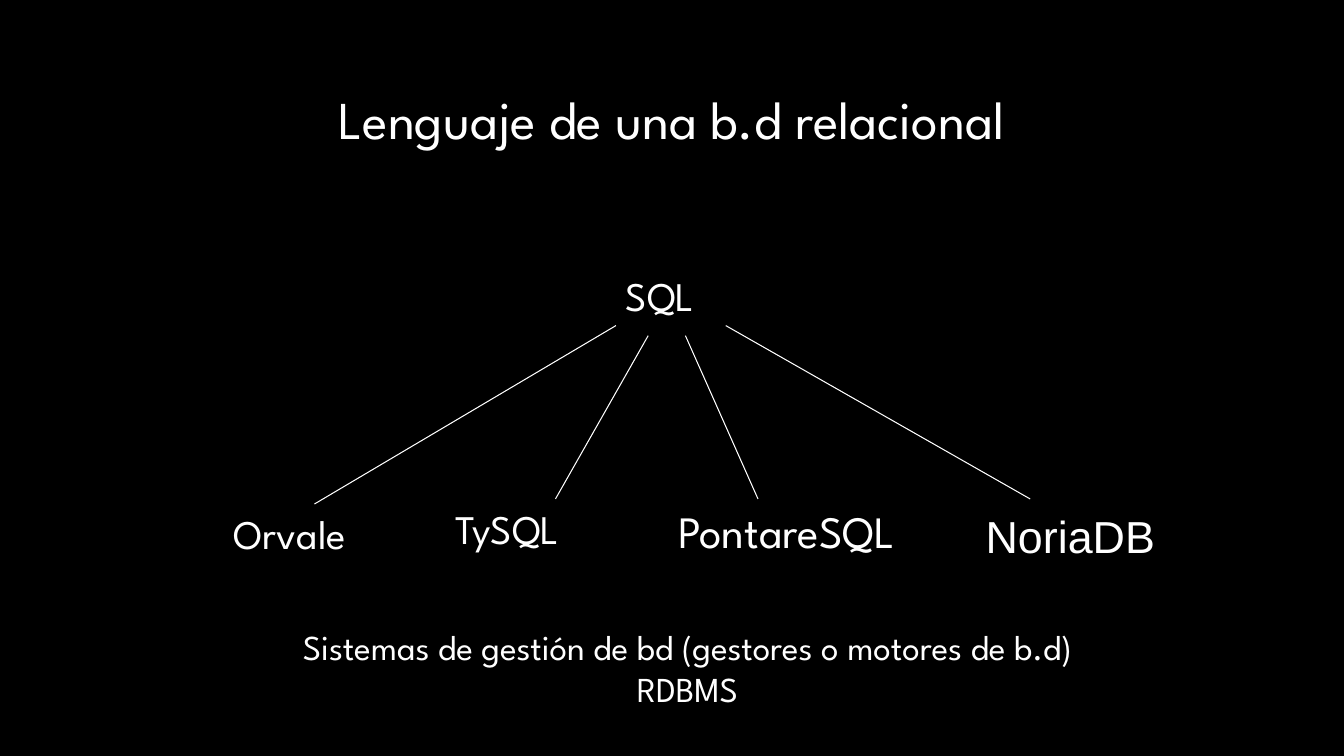
from lxml import etree
from pptx import Presentation
from pptx.dml.color import RGBColor
from pptx.enum.shapes import MSO_CONNECTOR
from pptx.enum.text import MSO_AUTO_SIZE, PP_ALIGN
from pptx.oxml.ns import qn
from pptx.util import Inches, Pt

STRAIGHT = MSO_CONNECTOR.STRAIGHT
LEFT, CENTER = PP_ALIGN.LEFT, PP_ALIGN.CENTER
GROW = MSO_AUTO_SIZE.SHAPE_TO_FIT_TEXT
BLACK = RGBColor(0x00, 0x00, 0x00)
WHITE = RGBColor(0xFF, 0xFF, 0xFF)
SPARTAN, ARIAL = "League Spartan", "Arial"

deck = Presentation()
deck.slide_width, deck.slide_height = Inches(13.33), Inches(7.5)
slide = deck.slides.add_slide(deck.slide_layouts[6])
slide.background.fill.solid()
slide.background.fill.fore_color.rgb = BLACK


def across(percent):
    return round(deck.slide_width * percent / 100)


def down(percent):
    return round(deck.slide_height * percent / 100)


language_base, engine_top = 43.07, 66

labels = [
    (["Lenguaje de una b.d relacional"], 8.4, 10.8, 83.2, 9.87, 38, SPARTAN, CENTER),
    (["SQL"], 45.83, 35.2, 8.33, 7.87, 29, SPARTAN, LEFT),
    (["TySQL"], 33.15, engine_top, 13.43, 7.87, 29, SPARTAN, LEFT),
    (["Orvale"], 16.65, 66.67, 13.43, 7.87, 29, SPARTAN, LEFT),
    (["NoriaDB"], 72.6, 66.67, 19.8, 8.53, 32, ARIAL, LEFT),
    (["PontareSQL"], 49.73, engine_top, 19.8, 8.53, 32, SPARTAN, LEFT),
    (["Sistemas de gestión de bd (gestores o motores de b.d)", "RDBMS"],
     15.3, 82.13, 71.7, 12.53, 25, SPARTAN, CENTER),
]
for lines, left, top, width, height, size, typeface, alignment in labels:
    label = slide.shapes.add_textbox(across(left), down(top), across(width), down(height))
    frame = label.text_frame
    frame.word_wrap = True
    frame.auto_size = GROW
    frame.text = "\n".join(lines)
    for paragraph in frame.paragraphs:
        paragraph.alignment = alignment
        paragraph.font.name = typeface
        paragraph.font.size = Pt(size)
        paragraph.font.color.rgb = WHITE

branches = [
    (23.4, 66.67, 45.83, language_base),
    (41.33, engine_top, 48.23, 44.4),
    (56.4, engine_top, 51, 44.4),
    (76.65, engine_top, 54, language_base),
]
for engine_x, engine_y, language_x, language_y in branches:
    branch = slide.shapes.add_connector(
        STRAIGHT, across(engine_x), down(engine_y), across(language_x), down(language_y))
    branch.line.color.rgb = WHITE
    branch.line.width = Pt(0.75)
    etree.SubElement(branch._element.spPr, qn("a:effectLst"))

deck.save("out.pptx")
